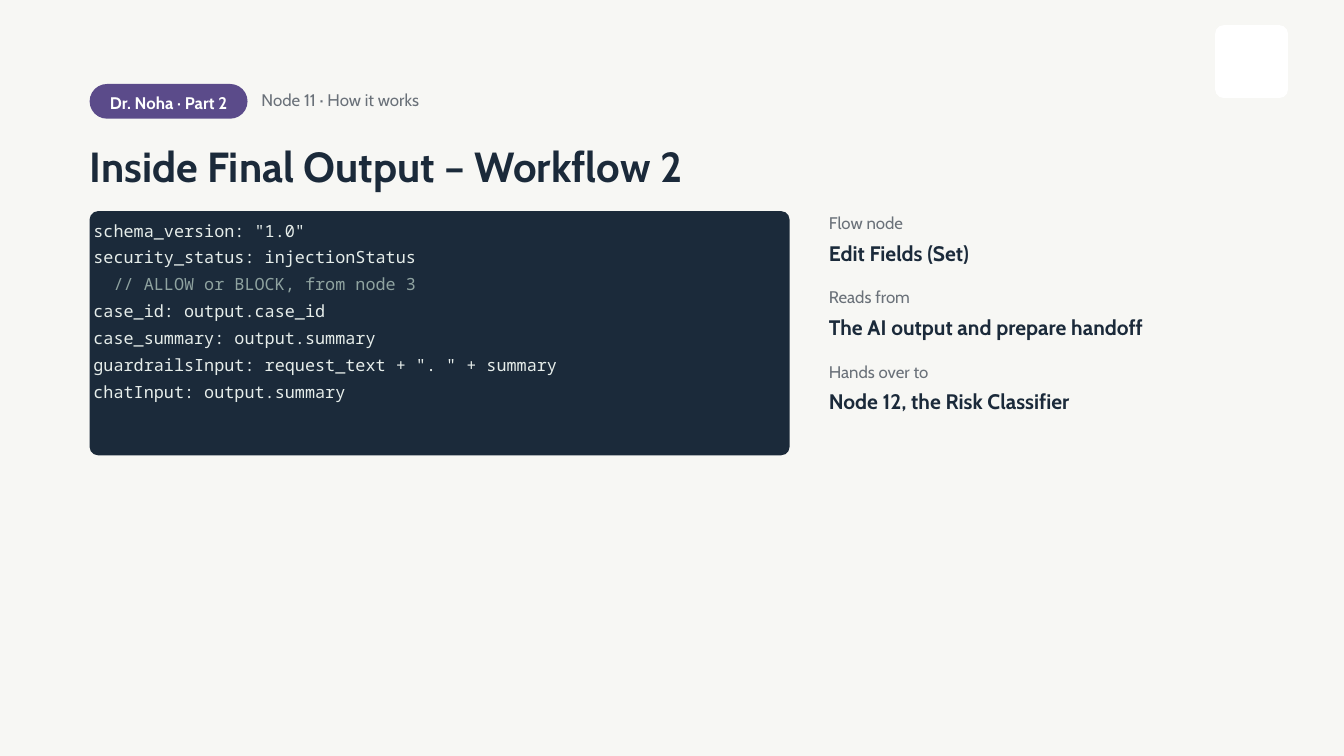
from pptx import Presentation
from pptx.dml.color import RGBColor
from pptx.enum.shapes import MSO_SHAPE
from pptx.enum.text import MSO_ANCHOR, MSO_AUTO_SIZE, PP_ALIGN
from pptx.util import Inches, Pt

COLS, ROWS = 240, 135
WIDTH, HEIGHT = 20, 11.25
MARGIN, SIDE = 16, 148
NAVY, PURPLE, GREY, WHITE = "1B2A3A", "5B4B8A", "6A7179", "FFFFFF"
CODE, COMMENT, PAPER = "E6EDEA", "8FA3A0", "F7F7F4"

CODE_LINES = [
    [('schema_version: "1.0"', CODE)],
    [("security_status: injectionStatus", CODE)],
    [("  ", CODE), ("// ALLOW or BLOCK, from node 3", COMMENT)],
    [("case_id: output.case_id", CODE)],
    [("case_summary: output.summary", CODE)],
    [('guardrailsInput: request_text + ". " + summary', CODE)],
    [("chatInput: output.summary", CODE)],
]
FACTS = [
    ("Flow node", "Edit Fields (Set)"),
    ("Reads from", "The AI output and prepare handoff"),
    ("Hands over to", "Node 12, the Risk Classifier"),
]


def rgb(value):
    return RGBColor.from_string(value)


def set_all(obj, values):
    for name, value in values.items():
        setattr(obj, name, value)


class Deck:
    styles = {
        "label": (25.2, {"name": "Cabin", "size": Pt(18), "bold": False}),
        "badge": (25.2, {"name": "Cabin", "size": Pt(18), "bold": True}),
        "value": (29.2, {"name": "Cabin", "size": Pt(22.5), "bold": True}),
        "title": (51.7, {"name": "Cabin", "size": Pt(45), "bold": True}),
        "code": (28.8, {"name": "Noto Sans Mono", "size": Pt(18), "bold": False}),
    }

    def __init__(self):
        self.prs = Presentation()
        set_all(self.prs, {"slide_width": Inches(WIDTH), "slide_height": Inches(HEIGHT)})
        self.slide = None

    def add_slide(self):
        self.slide = self.prs.slides.add_slide(self.prs.slide_layouts[5])
        fill = self.slide.background.fill
        fill.solid()
        fill.fore_color.rgb = rgb(PAPER)

    def box(self, col, row, cols, rows):
        x, y = self.prs.slide_width / COLS, self.prs.slide_height / ROWS
        return [int(v) for v in (col * x, row * y, cols * x, rows * y)]

    def fill_text(self, sp, lines, style, align=PP_ALIGN.LEFT, anchor=MSO_ANCHOR.TOP, left=0):
        spacing, font = self.styles[style]
        tf = sp.text_frame
        set_all(tf, {
            "word_wrap": True, "auto_size": MSO_AUTO_SIZE.NONE, "vertical_anchor": anchor,
            "margin_left": Inches(left), "margin_top": 0, "margin_right": 0, "margin_bottom": 0,
        })
        for i, line in enumerate(lines):
            p = tf.add_paragraph() if i else tf.paragraphs[0]
            set_all(p, {"alignment": align, "line_spacing": Pt(spacing)})
            for text, color in line:
                r = p.add_run()
                r.text = text
                set_all(r.font, font)
                r.font.color.rgb = rgb(color)

    def title(self, text, *place):
        sp = self.slide.shapes.title
        set_all(sp, dict(zip(("left", "top", "width", "height"), self.box(*place))))
        self.fill_text(sp, [[(text, NAVY)]], "title")

    def text(self, text, style, color, *place):
        sp = self.slide.shapes.add_textbox(*self.box(*place))
        self.fill_text(sp, [[(text, color)]], style)

    def card(self, color, radius, *place):
        sp = self.slide.shapes.add_shape(MSO_SHAPE.ROUNDED_RECTANGLE, *self.box(*place))
        sp.adjustments[0] = min(0.5, radius / min(place[2:]))
        sp.shadow.inherit = False
        sp.fill.solid()
        sp.fill.fore_color.rgb = rgb(color)
        sp.line.fill.background()
        return sp


def main():
    deck = Deck()
    deck.add_slide()
    deck.card(WHITE, 1.5, 217, 4.5, 13, 13)

    badge = deck.card(PURPLE, 3.1, MARGIN, 15, 28.2, 6.2)
    deck.fill_text(badge, [[("Dr. Noha · Part 2", WHITE)]], "badge", PP_ALIGN.CENTER, MSO_ANCHOR.MIDDLE)
    deck.text("Node 11 · How it works", "label", GREY, 46.7, 15.5, 37.5, 5.2)
    deck.title("Inside Final Output – Workflow 2", MARGIN, 25.5, 190.5, 8.8)

    panel = deck.card(NAVY, 1.5, MARGIN, 37.7, 125, 43.6)
    deck.fill_text(panel, CODE_LINES, "code", left=0.02)

    for i, (label, value) in enumerate(FACTS):
        row = 37.3 + i * 13.3
        deck.text(label, "label", GREY, SIDE, row, 78.2, 5.2)
        deck.text(value, "value", NAVY, SIDE, row + 5.2, 78.2, 5.6)

    deck.prs.save("out.pptx")


if __name__ == "__main__":
    main()
